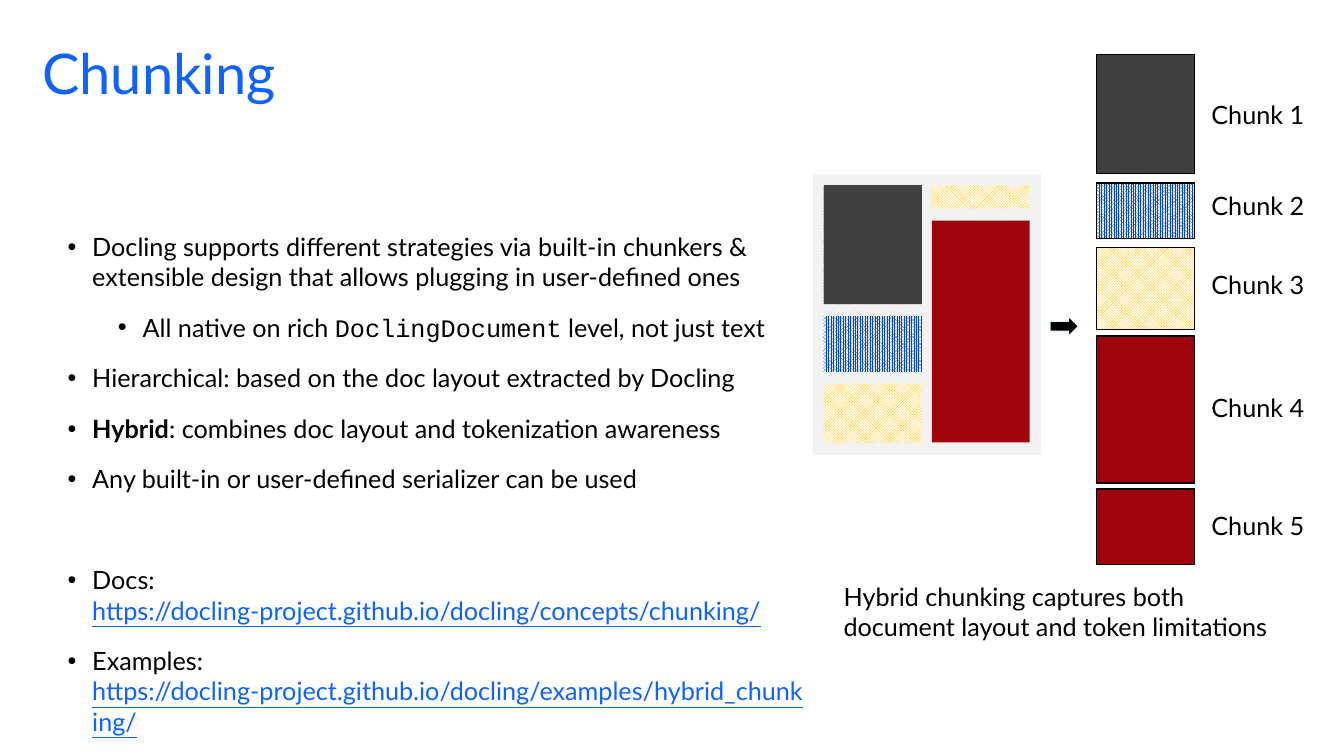
from dataclasses import dataclass

from lxml import etree
from pptx import Presentation
from pptx.dml.color import RGBColor
from pptx.enum.dml import MSO_PATTERN
from pptx.enum.shapes import MSO_SHAPE
from pptx.enum.text import MSO_ANCHOR, MSO_AUTO_SIZE, PP_ALIGN
from pptx.oxml.ns import qn
from pptx.util import Inches, Pt

RECT, ARROW = MSO_SHAPE.RECTANGLE, MSO_SHAPE.RIGHT_ARROW
TOP, LEFT = MSO_ANCHOR.TOP, PP_ALIGN.LEFT
NO_FIT = MSO_AUTO_SIZE.NONE

COLORS = {
    "blue": "0F62FE", "black": "000000", "white": "FFFFFF", "page": "F2F2F2",
    "gray": "404040", "stripe": "0146C9", "gold": "FFC000", "red": "9F040D",
    "edge": "E5F6FF",
}
PATTERNS = {
    "gray": MSO_PATTERN.PERCENT_90,
    "stripe": MSO_PATTERN.PERCENT_70,
    "gold": MSO_PATTERN.SOLID_DIAMOND,
}
BLOCK_W = 1.94
CHUNK_X, LABEL_X = 21.76, 23.94
SPACE, SECTION_SPACE = 29, 101


@dataclass
class Block:
    x: float
    y: float
    h: float
    color: str


@dataclass
class Chunk:
    y: float
    h: float
    color: str
    label_y: float


@dataclass
class Bullet:
    runs: list[tuple[str, dict]]
    level: int = 0
    before: float = SPACE


PAGE_BLOCKS = [
    Block(16.34, 3.68, 2.36, "gray"),
    Block(16.34, 7.61, 1.18, "gold"),
    Block(18.49, 3.68, 0.46, "gold"),
    Block(18.49, 4.38, 4.4, "red"),
    Block(16.34, 6.28, 1.1, "stripe"),
]
CHUNKS = [
    Chunk(1.08, 2.36, "gray", 1.93),
    Chunk(3.63, 1.1, "stripe", 3.73),
    Chunk(4.91, 1.63, "gold", 5.29),
    Chunk(6.67, 2.91, "red", 7.73),
    Chunk(9.7, 1.5, "red", 10.07),
]
LINK = {"color": "blue", "underline": True}
BULLETS = [
    Bullet([("Docling supports different strategies via\u00a0built-in chunkers & "
             "extensible design that allows plugging in user-defined ones", {})], before=0),
    Bullet([("All native on rich ", {}), ("DoclingDocument", {"font": "Courier New"}),
            (" level, not just text", {})], level=1),
    Bullet([("Hierarchical:\u00a0based on the doc layout extracted by Docling", {})]),
    Bullet([("Hybrid", {"bold": True}),
            (": combines doc layout and tokenization awareness", {})]),
    Bullet([("Any built-in or user-defined serializer can be used", {})]),
    Bullet([("Docs: ", {}),
            ("https://docling-project.github.io/docling/concepts/chunking/", LINK)],
           before=SECTION_SPACE),
    Bullet([("Examples: ", {}),
            ("https://docling-project.github.io/docling/examples/hybrid_chunking/", LINK)]),
]


def rgb(name: str) -> RGBColor:
    return RGBColor.from_string(COLORS[name])


def write(p, text: str, *, size=36, font="Lato", color="black", bold=False, underline=False):
    for i, line in enumerate(text.split("\n")):
        if i:
            p.add_line_break()
        r = p.add_run()
        r.text = line
        r.font.size, r.font.name = Pt(size), font
        r.font.bold, r.font.underline = bold, underline
        r.font.color.rgb = rgb(color)


def place(sp, x: float, y: float, w: float, h: float):
    sp.left, sp.top, sp.width, sp.height = map(Inches, (x, y, w, h))


def prepare(tf, *, wrap=True, inset=True):
    tf.word_wrap = wrap
    tf.auto_size = NO_FIT
    tf.vertical_anchor = TOP
    if not inset:
        tf.margin_left = tf.margin_right = tf.margin_top = tf.margin_bottom = 0


def add_block(s, x: float, y: float, w: float, h: float, color: str, *,
              kind=RECT, line=None, line_width=2.0):
    sp = s.shapes.add_shape(kind, *map(Inches, (x, y, w, h)))
    sp.shadow.inherit = False
    if color in PATTERNS:
        sp.fill.patterned()
        sp.fill.pattern = PATTERNS[color]
        sp.fill.fore_color.rgb = rgb(color)
        sp.fill.back_color.rgb = rgb("white")
    else:
        sp.fill.solid()
        sp.fill.fore_color.rgb = rgb(color)
    if line:
        sp.line.color.rgb = rgb(line)
        sp.line.width = Pt(line_width)
    else:
        sp.line.fill.background()


def add_text(s, x: float, y: float, w: float, h: float, text: str, *, inset=True):
    tf = s.shapes.add_textbox(*map(Inches, (x, y, w, h))).text_frame
    prepare(tf, wrap=False, inset=inset)
    write(tf.paragraphs[0], text)


def add_bullet(p, bullet: Bullet):
    p.level = bullet.level
    p.alignment = LEFT
    p.space_before = Pt(bullet.before)
    pPr = p._p.get_or_add_pPr()
    pPr.set("marL", str(Inches(0.49 + bullet.level)))
    pPr.set("indent", str(Inches(-0.49)))
    etree.SubElement(pPr, qn("a:buFont")).set("typeface", "Arial")
    etree.SubElement(pPr, qn("a:buChar")).set("char", "•")
    for text, style in bullet.runs:
        write(p, text, **style)


def main():
    prs = Presentation()
    prs.slide_width, prs.slide_height = Inches(26.67), Inches(15)
    s = prs.slides.add_slide(prs.slide_layouts[1])

    title, body = s.shapes.title, s.placeholders[1]
    place(title, 0.84, 0.92, 15.83, 1.85)
    prepare(title.text_frame, inset=False)
    p = title.text_frame.paragraphs[0]
    p.alignment, p.line_spacing = LEFT, 0.9
    write(p, "Chunking", size=80, color="blue")

    place(body, 1.34, 4.59, 14.67, 5.82)
    tf = body.text_frame
    prepare(tf, inset=False)
    for i, bullet in enumerate(BULLETS):
        add_bullet(tf.add_paragraph() if i else tf.paragraphs[0], bullet)

    add_block(s, 16.13, 3.45, 4.53, 5.58, "page")
    for b in PAGE_BLOCKS:
        add_block(s, b.x, b.y, BLOCK_W, b.h, b.color)
    for number, c in enumerate(CHUNKS, 1):
        add_block(s, CHUNK_X, c.y, BLOCK_W, c.h, c.color, line="black")
        add_text(s, LABEL_X, c.label_y, 2.05, 0.71, f"Chunk {number}")
    add_block(s, 20.84, 6.28, 0.56, 0.39, "black", kind=ARROW, line="edge", line_width=1.5)
    add_text(s, 16.74, 11.53, 8.76, 1.5,
             "Hybrid chunking captures both\ndocument layout and token limitations", inset=False)
    prs.save("out.pptx")


if __name__ == "__main__":
    main()
